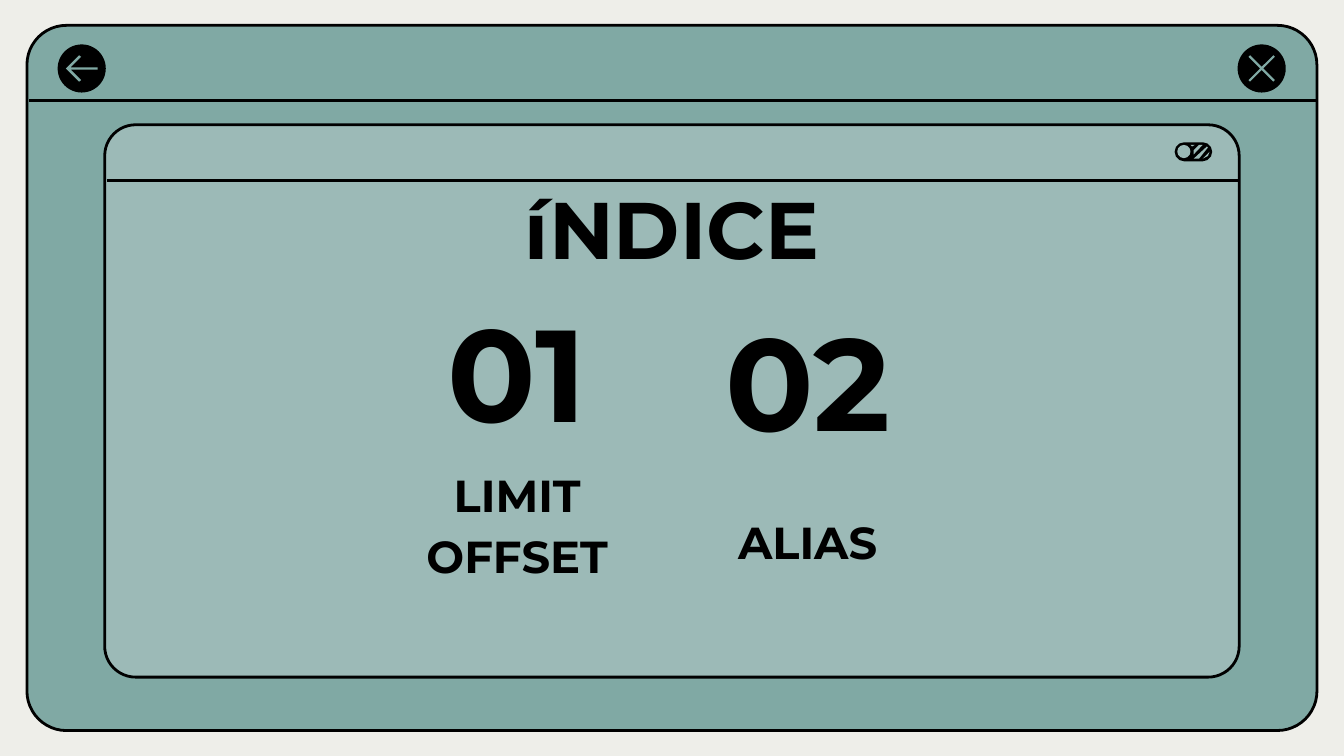
from dataclasses import dataclass

from lxml import etree
from pptx import Presentation
from pptx.dml.color import RGBColor
from pptx.enum.shapes import MSO_CONNECTOR, MSO_SHAPE
from pptx.enum.text import MSO_ANCHOR, MSO_AUTO_SIZE, PP_ALIGN
from pptx.oxml.ns import qn
from pptx.util import Cm, Pt

ROUNDED, ELLIPSE = MSO_SHAPE.ROUNDED_RECTANGLE, MSO_SHAPE.OVAL
STRAIGHT = MSO_CONNECTOR.STRAIGHT
TOP, BOTTOM = MSO_ANCHOR.TOP, MSO_ANCHOR.BOTTOM
CENTER, NO_FIT = PP_ALIGN.CENTER, MSO_AUTO_SIZE.NONE

COLORS = {"page": "EEEEE9", "window": "80A9A4", "panel": "9CBAB7", "ink": "000000"}
FONT = "Montserrat"
BUTTON_SIZE = 0.91
BUTTON_TOP = 0.84

Contour = list[tuple[float, float]]


@dataclass
class Box:
    left: float
    top: float
    width: float
    height: float

    def lengths(self) -> tuple:
        return Cm(self.left), Cm(self.top), Cm(self.width), Cm(self.height)


@dataclass
class Label:
    text: str
    box: Box
    size: int
    anchor: MSO_ANCHOR = BOTTOM
    spacing: float = 1.0
    after: int = 0


@dataclass
class Button:
    left: float
    glyph: Contour


def color(name: str) -> RGBColor:
    return RGBColor.from_string(COLORS[name])


def paint(shape, fill: str, outlined: bool = False) -> None:
    shape.shadow.inherit = False
    shape.fill.solid()
    shape.fill.fore_color.rgb = color(fill)
    if outlined:
        shape.line.color.rgb = color("ink")
        shape.line.width = Pt(1.5)
    else:
        shape.line.fill.background()


def draw_panel(shapes, box: Box, fill: str) -> None:
    panel = shapes.add_shape(ROUNDED, *box.lengths())
    panel.adjustments[0] = 0.056
    paint(panel, fill, outlined=True)


def draw_rule(shapes, left: float, right: float, y: float) -> None:
    rule = shapes.add_connector(STRAIGHT, Cm(left), Cm(y), Cm(right), Cm(y))
    rule.line.color.rgb = color("ink")
    rule.line.width = Pt(1.5)
    etree.SubElement(rule._element.spPr, qn("a:effectLst"))


def draw_outline(shapes, contours: list[Contour], fill: str) -> None:
    points = [[(Cm(x), Cm(y)) for x, y in contour] for contour in contours]
    builder = shapes.build_freeform(*points[0][0])
    builder.add_line_segments(points[0][1:])
    for contour in points[1:]:
        builder.move_to(*contour[0])
        builder.add_line_segments(contour[1:])
    paint(builder.convert_to_shape(), fill)


def draw_button(shapes, button: Button) -> None:
    group = shapes.add_group_shape().shapes
    disc = Box(button.left, BUTTON_TOP, BUTTON_SIZE, BUTTON_SIZE)
    paint(group.add_shape(ELLIPSE, *disc.lengths()), "ink")
    middle_x = button.left + BUTTON_SIZE / 2
    middle_y = BUTTON_TOP + BUTTON_SIZE / 2
    glyph = [(middle_x + x, middle_y + y) for x, y in button.glyph]
    draw_outline(group, [glyph], "window")


def draw_toggle(shapes) -> None:
    group = shapes.add_group_shape().shapes
    track = group.add_shape(ROUNDED, *Box(22.2, 2.69, 0.71, 0.36).lengths())
    track.adjustments[0] = 0.5
    paint(track, "ink")
    knob = group.add_shape(ELLIPSE, *Box(22.25, 2.74, 0.25, 0.25).lengths())
    paint(knob, "panel")
    draw_outline(group, STRIPES, "panel")


def write_label(shape, label: Label) -> None:
    shape.left, shape.top, shape.width, shape.height = label.box.lengths()
    frame = shape.text_frame
    frame.word_wrap = True
    frame.auto_size = NO_FIT
    frame.vertical_anchor = label.anchor
    frame.margin_left = frame.margin_right = Cm(0.25)
    frame.margin_top = frame.margin_bottom = Cm(0.25)
    frame.text = label.text
    para = frame.paragraphs[0]
    para.alignment = CENTER
    para.line_spacing = label.spacing
    para.space_before = Pt(0)
    para.space_after = Pt(label.after)
    para.font.name = FONT
    para.font.size = Pt(label.size)
    para.font.bold = True
    para.font.color.rgb = color("ink")


CROSS = [
    (-0.22, -0.25), (-0.25, -0.22), (-0.03, 0), (-0.25, 0.22),
    (-0.22, 0.25), (0, 0.03), (0.22, 0.25), (0.25, 0.22),
    (0.03, 0), (0.25, -0.22), (0.22, -0.25), (0, -0.03),
]
ARROW = [
    (-0.05, -0.25), (-0.3, 0), (-0.05, 0.25), (-0.01, 0.22), (-0.21, 0.02),
    (0.3, 0.02), (0.3, -0.02), (-0.21, -0.02), (-0.01, -0.22),
]
STRIPES = [
    [(22.58, 2.74), (22.53, 2.77), (22.5, 2.74)],
    [(22.73, 2.74), (22.56, 2.92), (22.56, 2.84), (22.66, 2.74)],
    [(22.81, 2.77), (22.83, 2.79), (22.66, 3), (22.56, 3)],
    [(22.86, 2.87), (22.83, 2.95), (22.73, 3)],
]
BUTTONS = [Button(23.39, CROSS), Button(1.09, ARROW)]
LABELS = [
    Label("LIMIT\vOFFSET", Box(7.72, 8.43, 4.11, 1.8), 24, TOP, 1.15, 18),
    Label("01", Box(7.34, 6.68, 4.88, 2.06), 70),
    Label("02", Box(12.83, 6.88, 4.88, 2.03), 70),
    Label("ALIAS", Box(12.47, 9.32, 5.59, 3.86), 24, TOP, 1.15, 16),
]
TITLE = Label("íNDICE", Box(1.98, 3.89, 21.44, 1.57), 43)


def main() -> None:
    deck = Presentation()
    deck.slide_width, deck.slide_height = Cm(25.4), Cm(14.29)
    page = deck.slides.add_slide(deck.slide_layouts[5])
    page.background.fill.solid()
    page.background.fill.fore_color.rgb = color("page")
    shapes = page.shapes

    draw_panel(shapes, Box(0.51, 0.48, 24.38, 13.33), "window")
    draw_panel(shapes, Box(1.98, 2.36, 21.44, 10.44), "panel")
    draw_rule(shapes, 2.02, 23.42, 3.41)
    draw_rule(shapes, 0.55, 24.89, 1.9)
    draw_toggle(shapes)
    for button in BUTTONS:
        draw_button(shapes, button)
    for label in LABELS:
        write_label(shapes.add_textbox(*label.box.lengths()), label)

    title = shapes.title
    title.element.getparent().append(title.element)
    write_label(title, TITLE)
    deck.save("out.pptx")


if __name__ == "__main__":
    main()
